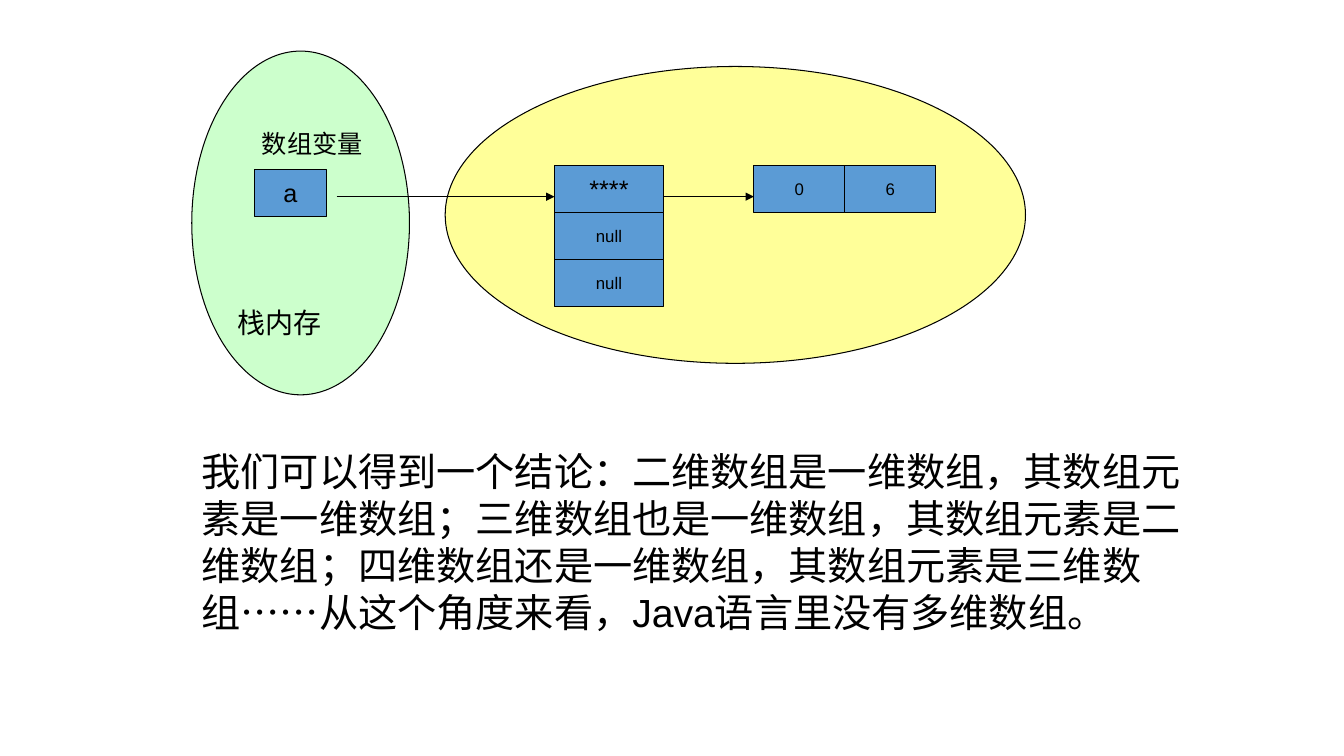
from lxml.etree import SubElement
from pptx import Presentation
from pptx.dml.color import RGBColor
from pptx.enum.shapes import MSO_CONNECTOR, MSO_SHAPE
from pptx.enum.text import MSO_ANCHOR, MSO_AUTO_SIZE, PP_ALIGN
from pptx.oxml.ns import qn
from pptx.util import Pt

BLACK = "000000"
STACK_GREEN = "CCFFCC"
HEAP_YELLOW = "FFFF99"
CELL_BLUE = "5B9BD5"
CELL_HEIGHT = 33.5
CELL_TOP = 118.2
ARRAY_LEFT, ARRAY_WIDTH = 396, 78
VALUE_LEFT, VALUE_WIDTH = 538.5, 65
ARROW_Y = 140.5
CONCLUSION = (
    "我们可以得到一个结论：二维数组是一维数组，其数组元素是一维数组；"
    "三维数组也是一维数组，其数组元素是二维数组；"
    "四维数组还是一维数组，其数组元素是三维数组……"
    "从这个角度来看，Java语言里没有多维数组。"
)


def color(value):
    return RGBColor.from_string(value)


class MemoryDiagram:
    """Draws memory areas, cells, labels and arrows on one slide."""

    font_name = "Arial"
    line_width = 0.75

    def __init__(self, slide):
        self.slide = slide

    def outline(self, line):
        line.color.rgb = color(BLACK)
        line.width = Pt(self.line_width)

    def add_text(self, frame, text, size, alignment):
        paragraph = frame.paragraphs[0]
        paragraph.alignment = alignment
        run = paragraph.add_run()
        run.text = text
        run.font.name = self.font_name
        run.font.size = Pt(size)
        run.font.color.rgb = color(BLACK)

    def filled_shape(self, preset, left, top, width, height, fill):
        shape = self.slide.shapes.add_shape(preset, Pt(left), Pt(top), Pt(width), Pt(height))
        shape.shadow.inherit = False
        shape.fill.solid()
        shape.fill.fore_color.rgb = color(fill)
        self.outline(shape.line)
        return shape

    def area(self, left, top, width, height, fill):
        self.filled_shape(MSO_SHAPE.OVAL, left, top, width, height, fill)

    def cell(self, left, top, width, text, size):
        shape = self.filled_shape(MSO_SHAPE.RECTANGLE, left, top, width, CELL_HEIGHT, CELL_BLUE)
        frame = shape.text_frame
        frame.word_wrap = False
        frame.vertical_anchor = MSO_ANCHOR.MIDDLE
        self.add_text(frame, text, size, PP_ALIGN.CENTER)

    def label(self, left, top, width, height, text, size, wrap=False):
        shape = self.slide.shapes.add_textbox(Pt(left), Pt(top), Pt(width), Pt(height))
        frame = shape.text_frame
        frame.word_wrap = wrap
        frame.auto_size = MSO_AUTO_SIZE.SHAPE_TO_FIT_TEXT
        self.add_text(frame, text, size, PP_ALIGN.LEFT)

    def arrow(self, start, end, y):
        connector = self.slide.shapes.add_connector(
            MSO_CONNECTOR.STRAIGHT, Pt(start), Pt(y), Pt(end), Pt(y))
        self.outline(connector.line)
        properties = connector._element.spPr
        SubElement(properties.find(qn("a:ln")), qn("a:tailEnd"), type="triangle")
        SubElement(properties, qn("a:effectLst"))


def main():
    presentation = Presentation()
    presentation.slide_width = Pt(960)
    presentation.slide_height = Pt(540)
    slide = presentation.slides.add_slide(presentation.slide_layouts[6])
    diagram = MemoryDiagram(slide)

    diagram.area(137, 36.5, 155.5, 245.5, STACK_GREEN)
    diagram.area(318, 47.5, 414.5, 212, HEAP_YELLOW)

    diagram.cell(181.5, 121, 52, "a", 18)
    diagram.label(180, 88, 94.5, 31.5, "数组变量", 18)
    diagram.label(162.5, 214.5, 81.5, 34.5, "栈内存", 20)

    for row, (text, size) in enumerate([("****", 18), ("null", 12), ("null", 12)]):
        diagram.cell(ARRAY_LEFT, CELL_TOP + row * CELL_HEIGHT, ARRAY_WIDTH, text, size)
    for column, text in enumerate(["0", "6"]):
        diagram.cell(VALUE_LEFT + column * VALUE_WIDTH, CELL_TOP, VALUE_WIDTH, text, 12)

    diagram.arrow(240.5, ARRAY_LEFT, ARROW_Y)
    diagram.arrow(ARRAY_LEFT + ARRAY_WIDTH, VALUE_LEFT, ARROW_Y)

    diagram.label(137, 316, 723.5, 143.5, CONCLUSION, 28, wrap=True)

    presentation.save("out.pptx")


if __name__ == "__main__":
    main()
